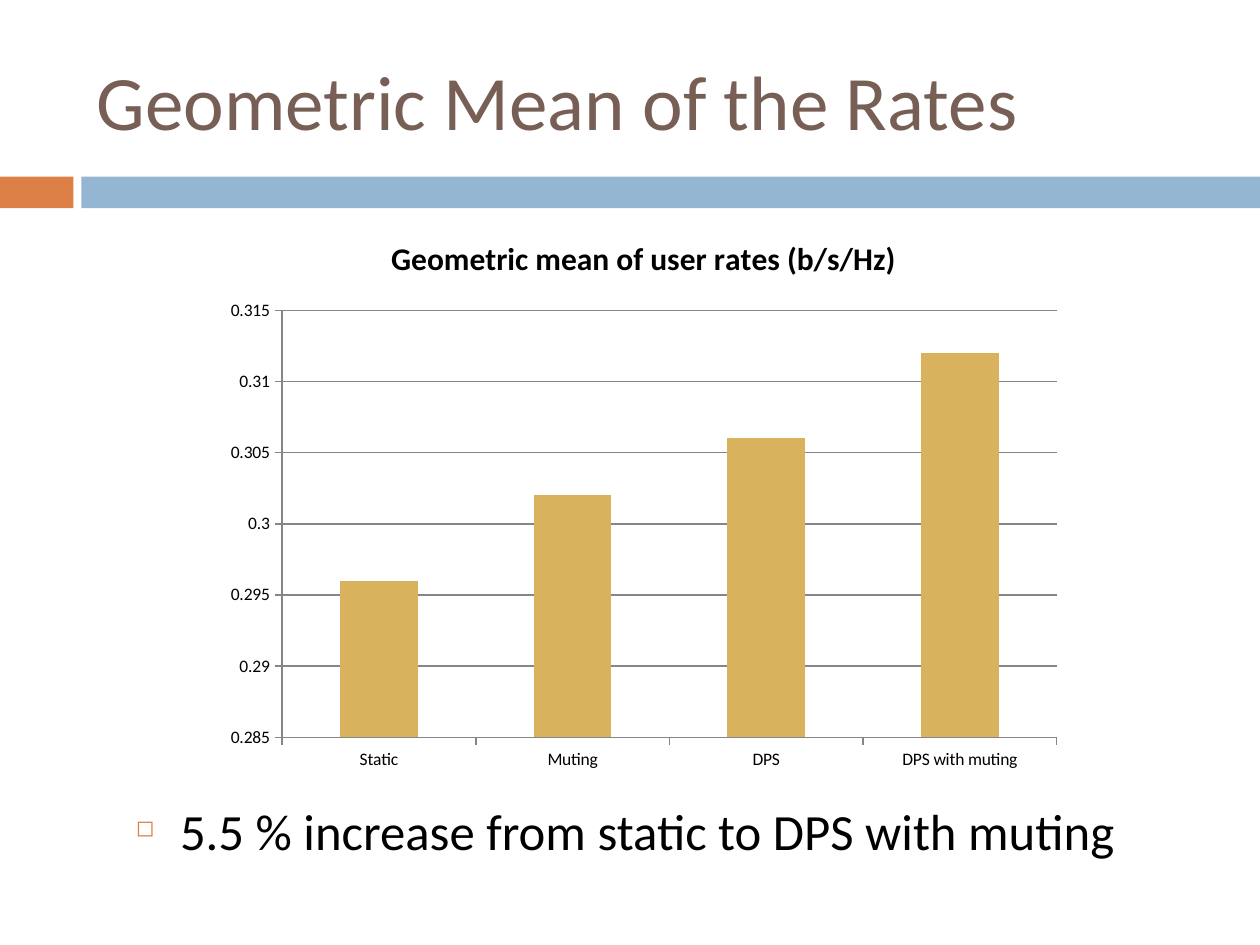
"""Build a slide with a column chart of geometric mean user rates."""
from lxml import etree
from pptx import Presentation
from pptx import util as u
from pptx.chart.data import CategoryChartData
from pptx.dml.color import RGBColor
from pptx.enum import chart as ch, shapes, text
from pptx.oxml import ns


def rgb(value):
    """Turn a hex string into a colour."""
    return RGBColor.from_string(value)


def sub(parent, tag, **attrs):
    """Append an XML child with the given attributes."""
    return etree.SubElement(parent, ns.qn(tag), attrs)


def place(parent, index, **fractions):
    """Give a chart part a manual layout in fractions of the chart."""
    for old in parent.findall(ns.qn("c:layout")):
        parent.remove(old)
    layout = etree.Element(ns.qn("c:layout"))
    parent.insert(index, layout)
    manual = sub(layout, "c:manualLayout")
    if "w" in fractions:
        sub(manual, "c:layoutTarget", val="inner")
    for side in ("x", "y"):
        sub(manual, f"c:{side}Mode", val="edge")
    for key, value in fractions.items():
        sub(manual, f"c:{key}", val=str(value))


class Deck:
    """Hold the style and the current slide."""

    font, ink, heading = "Calibri", "000000", "775F55"
    orange, blue, gold, grey = "DD8047", "94B6D2", "D8B25C", "868686"

    def __init__(self):
        """Start a presentation with one title-only slide."""
        self.prs = Presentation()
        self.prs.slide_width, self.prs.slide_height = u.Cm(25.4), u.Cm(19.05)
        self.s = self.prs.slides.add_slide(self.prs.slide_layouts[5])

    def style(self, font, size, color, bold=False):
        """Apply the deck font with a size, colour and weight."""
        font.name, font.size, font.bold = self.font, u.Pt(size), bold
        font.color.rgb = rgb(color)

    def bar(self, left, width, color):
        """Add one part of the band below the title."""
        sp = self.s.shapes.add_shape(
            shapes.MSO_SHAPE.RECTANGLE, u.Cm(left), u.Cm(3.56), u.Cm(width), u.Cm(0.64))
        sp.shadow.inherit = False
        sp.fill.solid()
        sp.fill.fore_color.rgb = rgb(color)
        sp.line.fill.background()

    def title(self, words):
        """Place and format the title."""
        sp = self.s.shapes.title
        sp.left, sp.top, sp.width, sp.height = map(u.Cm, (1.7, 0.64, 22.66, 2.74))
        tf = sp.text_frame
        tf.text = words
        tf.vertical_anchor = text.MSO_ANCHOR.MIDDLE
        p = tf.paragraphs[0]
        p.alignment = text.PP_ALIGN.LEFT
        self.style(p.runs[0].font, 44, self.heading)

    def chart(self, name, rates):
        """Add the column chart."""
        data = CategoryChartData()
        data.categories = list(rates)
        data.add_series(name, list(rates.values()))
        chart = self.s.shapes.add_chart(
            ch.XL_CHART_TYPE.COLUMN_CLUSTERED,
            *map(u.Cm, (4.3, 4.32, 17.35, 11.4)), data).chart
        self.style(chart.font, 10, self.ink)
        chart.has_legend = False
        chart.has_title = True
        tf = chart.chart_title.text_frame
        tf.text = name
        self.style(tf.paragraphs[0].runs[0].font, 18, self.ink, True)
        place(chart.chart_title._element, 1, x=0.2, y=0.03)
        plot = chart.plots[0]
        plot.gap_width = 150
        plot.vary_by_categories = False
        fill = plot.series[0].format.fill
        fill.solid()
        fill.fore_color.rgb = rgb(self.gold)
        axis = chart.value_axis
        axis.minimum_scale, axis.maximum_scale, axis.major_unit = 0.285, 0.315, 0.005
        axis.has_major_gridlines = True
        for part in (axis, axis.major_gridlines, chart.category_axis):
            part.format.line.color.rgb = rgb(self.grey)
            part.format.line.width = u.Pt(0.85)
        for part in (axis, chart.category_axis):
            part.major_tick_mark = ch.XL_TICK_MARK.OUTSIDE
        axis.tick_labels.number_format = "General"
        axis.tick_labels.number_format_is_linked = False
        place(plot._element.getparent(), 0, x=0.08, y=0.17, w=0.9, h=0.755)

    def bullet(self, words):
        """Add the bulleted remark below the chart."""
        tf = self.s.shapes.add_textbox(*map(u.Cm, (2.49, 14.53, 21, 4.19))).text_frame
        tf.word_wrap = True
        tf.margin_top = u.Cm(1.59)
        tf.text = words
        p = tf.paragraphs[0]
        self.style(p.runs[0].font, 29, self.ink)
        props = p._p.get_or_add_pPr()
        indent = u.Cm(0.89)
        props.set("marL", str(indent))
        props.set("indent", str(-indent))
        sub(sub(props, "a:buClr"), "a:srgbClr", val=self.orange)
        sub(props, "a:buSzPct", val="45000")
        sub(props, "a:buChar", char="◻")


def main():
    """Build and save the slide."""
    deck = Deck()
    deck.bar(0, 1.48, deck.orange)
    deck.bar(1.64, 23.76, deck.blue)
    deck.title("Geometric Mean of the Rates")
    deck.chart("Geometric mean of user rates (b/s/Hz)", {
        "Static": 0.296, "Muting": 0.302, "DPS": 0.306, "DPS with muting": 0.312})
    deck.bullet("5.5 % increase from static to DPS with muting")
    deck.prs.save("out.pptx")


if __name__ == "__main__":
    main()
